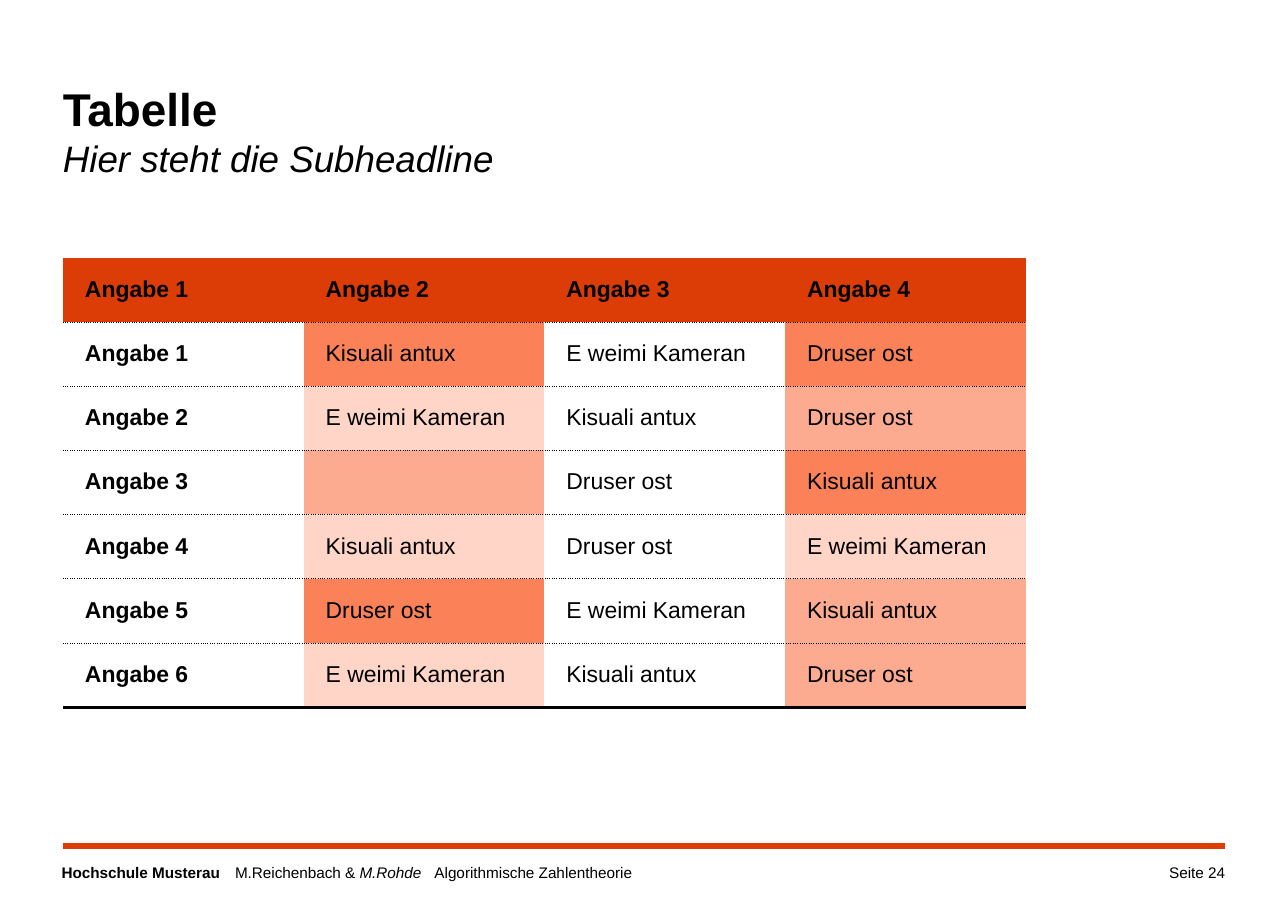
"""Build the "Tabelle" slide with a shaded table and a footer."""
from lxml.etree import SubElement
from pptx import Presentation
from pptx.dml.color import RGBColor
from pptx.enum.shapes import MSO_CONNECTOR
from pptx.enum.text import MSO_ANCHOR, MSO_AUTO_SIZE, PP_ALIGN
from pptx.oxml.ns import qn
from pptx.util import Cm, Pt

COLORS = {"black": "000000", "header": "DC3C05", "dark": "FB8258",
          "mid": "FCAB90", "light": "FED5C7"}
NO_STYLE = "{2D5ABB26-0587-4C30-8999-92F81FD0307C}"
LEFT, RIGHT = Cm(1.45), Cm(28.25)


def format_run(r, size, bold=False, italic=False):
    r.font.name = "Arial"
    r.font.size = Pt(size)
    r.font.bold = bold
    r.font.italic = italic
    r.font.color.rgb = RGBColor.from_string(COLORS["black"])


def add_border(cell, side, width, dash):
    ln = SubElement(cell._tc.get_or_add_tcPr(), qn(f"a:{side}"), w=str(Pt(width)))
    fill = SubElement(ln, qn("a:solidFill"))
    SubElement(fill, qn("a:srgbClr"), val=COLORS["black"])
    SubElement(ln, qn("a:prstDash"), val=dash)


prs = Presentation()
prs.slide_width, prs.slide_height = Cm(29.7), Cm(21)
s = prs.slides.add_slide(prs.slide_layouts[5])

title = s.shapes.title
title.left, title.top, title.width, title.height = LEFT, Cm(1.85), RIGHT - LEFT, Cm(2.65)
tf = title.text_frame
tf.text = "Tabelle\vHier steht die Subheadline"
tf.word_wrap = True
tf.auto_size = MSO_AUTO_SIZE.NONE
tf.vertical_anchor = MSO_ANCHOR.TOP
tf.margin_left = tf.margin_top = tf.margin_right = tf.margin_bottom = 0
p = tf.paragraphs[0]
p.alignment = PP_ALIGN.LEFT
p.line_spacing = 1.0
format_run(p.runs[0], 30, bold=True)
format_run(p.runs[1], 24, italic=True)

rows = [
    [("Angabe 1", "header"), ("Angabe 2", "header"), ("Angabe 3", "header"), ("Angabe 4", "header")],
    [("Angabe 1", None), ("Kisuali antux", "dark"), ("E weimi Kameran", None), ("Druser ost", "dark")],
    [("Angabe 2", None), ("E weimi Kameran", "light"), ("Kisuali antux", None), ("Druser ost", "mid")],
    [("Angabe 3", None), ("", "mid"), ("Druser ost", None), ("Kisuali antux", "dark")],
    [("Angabe 4", None), ("Kisuali antux", "light"), ("Druser ost", None), ("E weimi Kameran", "light")],
    [("Angabe 5", None), ("Druser ost", "dark"), ("E weimi Kameran", None), ("Kisuali antux", "mid")],
    [("Angabe 6", None), ("E weimi Kameran", "light"), ("Kisuali antux", None), ("Druser ost", "mid")],
]
last = len(rows) - 1
table = s.shapes.add_table(len(rows), 4, LEFT, Cm(5.94), Cm(22.2), Cm(1.48) * len(rows)).table
table.first_row = table.horz_banding = False
table._tbl.tblPr.find(qn("a:tableStyleId")).text = NO_STYLE
for i, row in enumerate(rows):
    for j, (text, color) in enumerate(row):
        cell = table.cell(i, j)
        if text:
            cell.text = text
            cell.margin_left = cell.margin_right = Cm(0.51)
            cell.margin_top, cell.margin_bottom = Cm(0.34), Cm(0.42)
            p = cell.text_frame.paragraphs[0]
            p.line_spacing = 1.1
            format_run(p.runs[0], 15, bold=i == 0 or j == 0)
        cell.vertical_anchor = MSO_ANCHOR.MIDDLE
        if i > 0:
            add_border(cell, "lnT", 0.5, "sysDot")
        if i < last:
            add_border(cell, "lnB", 0.5, "sysDot")
        else:
            add_border(cell, "lnB", 2.25, "solid")
        if color:
            cell.fill.solid()
            cell.fill.fore_color.rgb = RGBColor.from_string(COLORS[color])
        else:
            cell.fill.background()

line = s.shapes.add_connector(MSO_CONNECTOR.STRAIGHT, LEFT, Cm(19.5), RIGHT, Cm(19.5))
line.line.color.rgb = RGBColor.from_string(COLORS["header"])
line.line.width = Pt(4)
SubElement(line._element.spPr, qn("a:effectLst"))

footers = [
    (Cm(1.42), Cm(21.44), PP_ALIGN.LEFT,
     [("Hochschule Musterau\t", True, False), ("M.Reichenbach & ", False, False),
      ("M.Rohde\t", False, True), ("Algorithmische Zahlentheorie", False, False)]),
    (Cm(24.85), Cm(3.4), PP_ALIGN.RIGHT, [("Seite 24", False, False)]),
]
for left, width, align, runs in footers:
    tf = s.shapes.add_textbox(left, Cm(19.9), width, Cm(0.62)).text_frame
    tf.word_wrap = True
    tf.margin_left = tf.margin_top = tf.margin_right = tf.margin_bottom = 0
    p = tf.paragraphs[0]
    p.alignment = align
    for text, bold, italic in runs:
        r = p.add_run()
        r.text = text
        format_run(r, 10, bold, italic)
    if len(runs) > 1:
        tabs = SubElement(p._p.get_or_add_pPr(), qn("a:tabLst"))
        for pos in (Cm(4), Cm(8.6)):
            SubElement(tabs, qn("a:tab"), pos=str(pos), algn="l")

prs.save("out.pptx")
